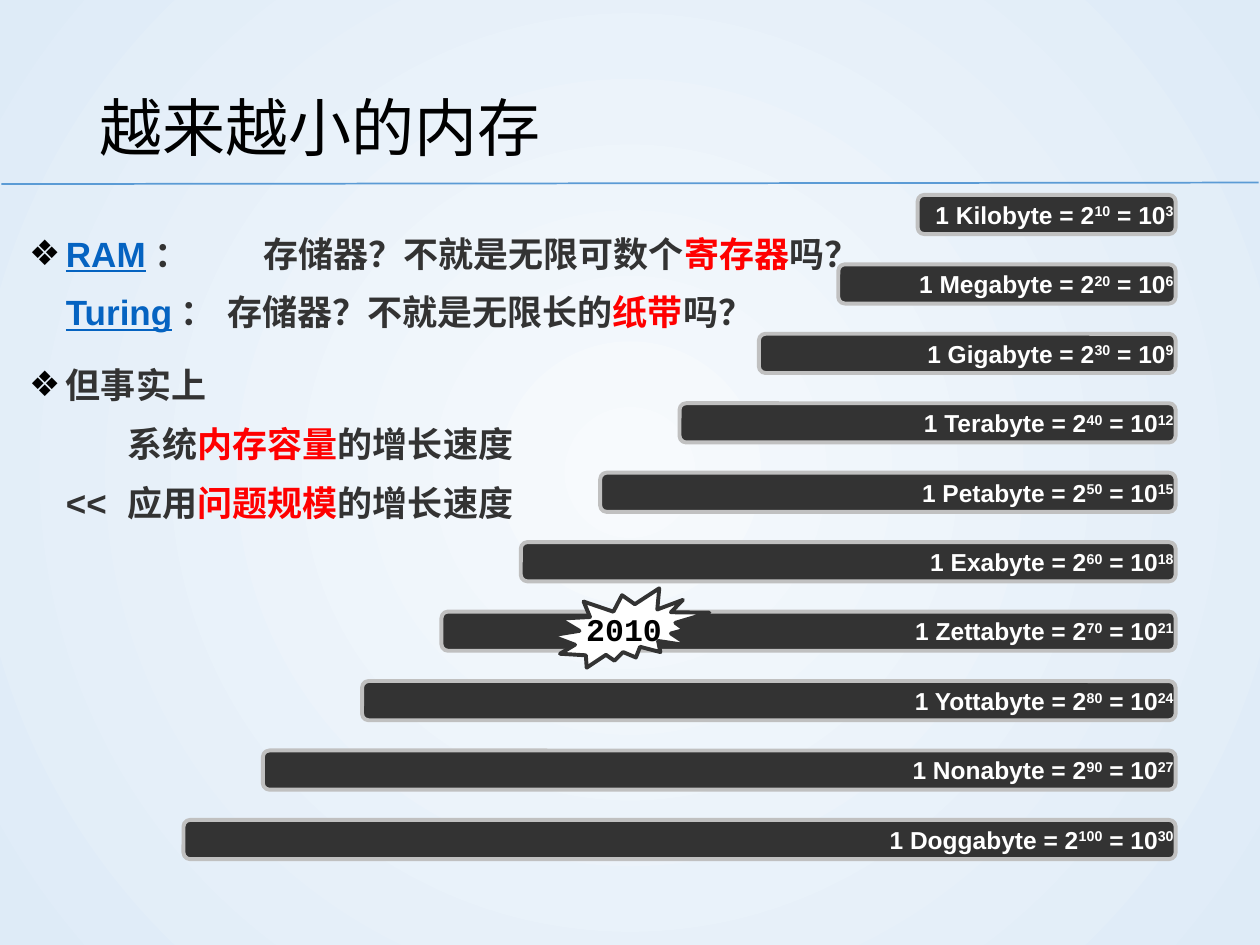
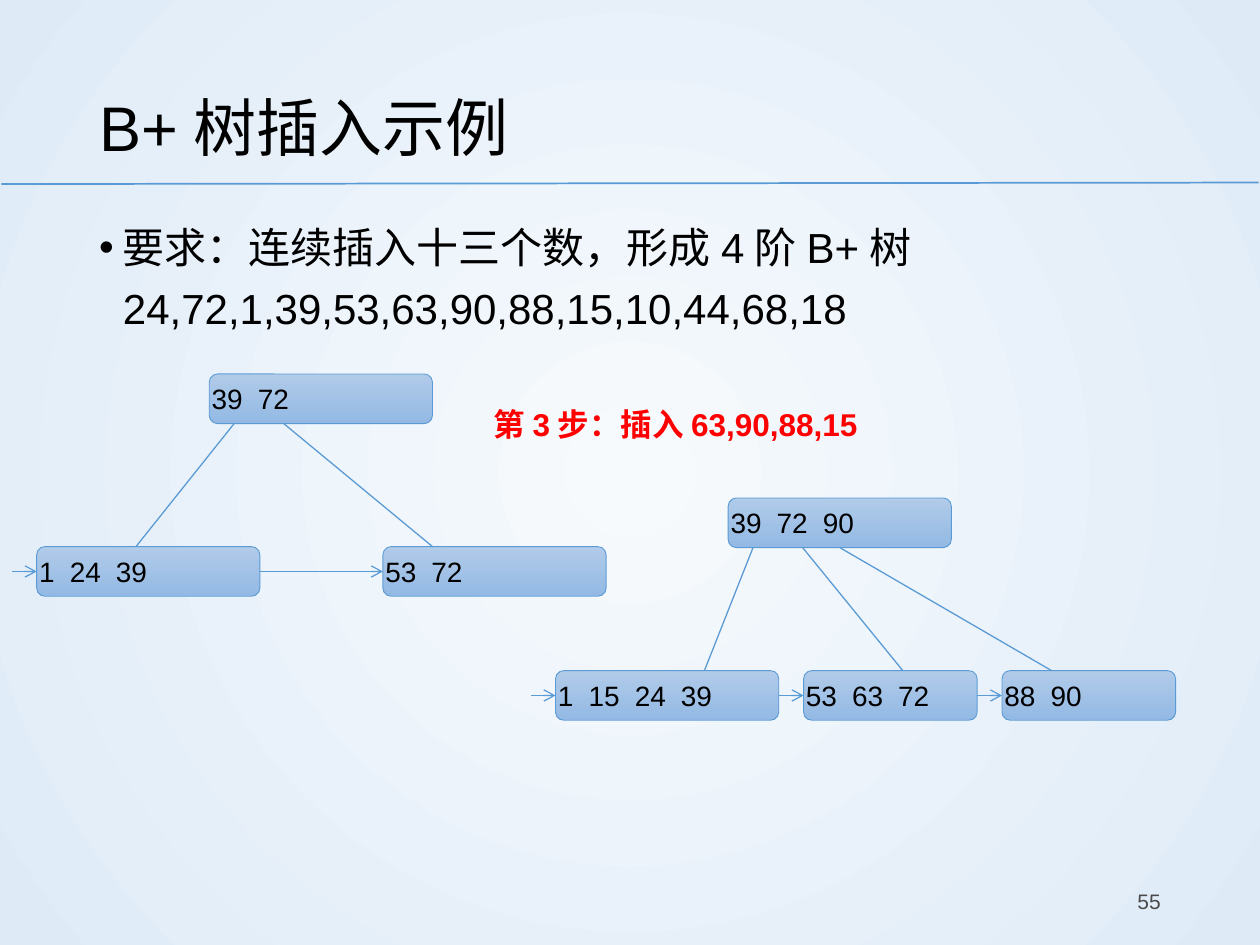
"""Builds two slides: shrinking memory, and inserting into a B+ tree."""
from lxml import etree
from pptx import Presentation, util as u
from pptx.dml.color import RGBColor
from pptx.enum import shapes, text
from pptx.oxml import ns

RED, DARK, LINK, BLUE = "FF0000", "333333", "0563C1", "5B9BD5"
ALIGN = {"l": text.PP_ALIGN.LEFT, "c": text.PP_ALIGN.CENTER, "r": text.PP_ALIGN.RIGHT}
KIND = shapes.MSO_SHAPE
hot, link = {"color": RED}, {"color": LINK, "under": True}

CLAIMS = [
    [("RAM", link), "：\t\t存储器？不就是无限可数个", ("寄存器", hot), "吗？\n",
     ("Turing", link), "：\t存储器？不就是无限长的", ("纸带", hot), "吗？"],
    ["但事实上\n\t系统", ("内存容量", hot), "的增长速度\n<<\t应用",
     ("问题规模", hot), "的增长速度"],
]
TABS = [0.74, 1.98, 2.97, 3.99, 4.72, 5.49, 6.22, 6.96]
UNITS = ["Kilo", "Mega", "Giga", "Tera", "Peta", "Exa", "Zetta", "Yotta", "Nona", "Dogga"]
TASK = "要求：连续插入十三个数，形成4阶B+树24,72,1,39,53,63,90,88,15,10,44,68,18"
TREES = [
    {"root": (4.22, 7.54, ["39", "72"]), "left": 0.74, "gap": 2.48,
     "leaves": [(["1", "24", "39"], 4.5, 2), (["53", "72"], 4.5, 1)]},
    {"root": (14.68, 10.04, ["39", "72", "90"]), "left": 11.2, "gap": 0.5,
     "leaves": [(["1", "15", "24", "39"], 4.5, 3), (["53", "63", "72"], 3.5, 2),
                (["88", "90"], 3.5, 1)]},
]
PORTS = [0.5, 1.5, 2.25]
DROP, TALL = 3.48, 1.0


def rgb(code):
    return RGBColor.from_string(code)


def sub(node, tag, **attrs):
    return etree.SubElement(node, ns.qn(tag), attrs)


def mark(para, bullet, hang, tabs):
    props = para._p.get_or_add_pPr()
    if bullet:
        props.set("marL", str(u.Cm(hang)))
        props.set("indent", str(-u.Cm(hang)))
        sub(sub(props, "a:buClr"), "a:srgbClr", val="000000")
        sub(props, "a:buFont", typeface="Arial")
        sub(props, "a:buChar", char=bullet)
    if tabs:
        stops = sub(props, "a:tabLst")
        for pos in tabs:
            sub(stops, "a:tab", pos=str(u.Cm(pos)), algn="l")


def style(run, size, color, bold, font, under=None, base=0):
    face = run.font
    face.name, face.size, face.bold, face.underline = font, u.Pt(size), bold, under
    face.color.rgb = rgb(color)
    if base:
        run._r.get_or_add_rPr().set("baseline", str(base * 1000))


def write(shape, paras, size=18, color="000000", bold=False, font="Arial", align="l",
          mid=False, inset=(0.25, 0.13, 0.25, 0.13), space=None, before=0, after=0,
          bullet=None, hang=0, tabs=(), wrap=True):
    frame = shape.text_frame
    frame.word_wrap = wrap
    frame.vertical_anchor = text.MSO_ANCHOR.MIDDLE if mid else text.MSO_ANCHOR.TOP
    (frame.margin_left, frame.margin_top,
     frame.margin_right, frame.margin_bottom) = map(u.Cm, inset)
    for i, parts in enumerate(paras):
        para = frame.add_paragraph() if i else frame.paragraphs[0]
        para.alignment = ALIGN[align]
        if space:
            para.line_spacing = space
        if before and i:
            para.space_before = u.Pt(before)
        if after:
            para.space_after = u.Pt(after)
        mark(para, bullet, hang, tabs)
        for part in parts:
            words, extra = (part, {}) if isinstance(part, str) else part
            look = {"size": size, "color": color, "bold": bold, "font": font, **extra}
            for j, piece in enumerate(words.split("\n")):
                if j:
                    para.add_line_break()
                if piece:
                    run = para.add_run()
                    run.text = piece
                    style(run, **look)


def label(slide, box, paras, **look):
    write(slide.shapes.add_textbox(*map(u.Cm, box)), paras, **look)


def block(slide, kind, box, fill, edge, width):
    shape = slide.shapes.add_shape(kind, *map(u.Cm, box))
    shape.shadow.inherit = False
    if isinstance(fill, str):
        shape.fill.solid()
        shape.fill.fore_color.rgb = rgb(fill)
    else:
        blend(shape.fill, fill)
        shape.fill.gradient_angle = 270
    shape.line.color.rgb = rgb(edge)
    shape.line.width = u.Pt(width)
    return shape


def blend(fill, codes):
    fill.gradient()
    for stop, code in zip(fill.gradient_stops, codes):
        stop.color.rgb = rgb(code)


def wire(slide, x1, y1, x2, y2, width=0.75, arrow=False):
    line = slide.shapes.add_connector(
        shapes.MSO_CONNECTOR.STRAIGHT, *map(u.Cm, (x1, y1, x2, y2)))
    line.line.color.rgb = rgb(BLUE)
    line.line.width = u.Pt(width)
    if arrow:
        sub(line.line._get_or_add_ln(), "a:tailEnd", type="arrow")
    sub(line._element.spPr, "a:effectLst")


def page(deck, title):
    slide = deck.slides.add_slide(deck.slide_layouts[6])
    blend(slide.background.fill, ["F7FAFD", "DEEBF7"])
    grad = slide.element.find(".//" + ns.qn("a:gradFill"))
    grad.remove(grad.find(ns.qn("a:lin")))
    half = dict.fromkeys("ltrb", "50000")
    sub(sub(grad, "a:path", path="circle"), "a:fillToRect", **half)
    wire(slide, 0.03, 3.71, 25.37, 3.68, width=1)
    label(slide, (1.75, 1.02, 21.9, 2.74), [[title]], size=36, space=1.2, mid=True)
    return slide


def memory(deck):
    slide = page(deck, "越来越小的内存")
    label(slide, (0.18, 4.14, 21.9, 13.03), CLAIMS, size=20, color=DARK, bold=True,
          inset=(0.41, 0.2, 0, 0.2), space=1.4, before=6, after=2,
          bullet="❖", hang=0.74, tabs=TABS)
    high = {"base": 30}
    for i, unit in enumerate(UNITS):
        left = 18.5 - 1.6 * i - (0.4 if i > 7 else 0)
        bar = block(slide, KIND.ROUNDED_RECTANGLE, (left, 3.93 + 1.4 * i, 23.7 - left, 0.79),
                    DARK, "C0C0C0", 2.25)
        power = [f"1 {unit}byte = 2", (str(10 * i + 10), high), " = 10", (str(3 * i + 3), high)]
        write(bar, [power], size=14, color="FFFFFF", bold=True, align="r", mid=True,
              inset=(0, 0, 0, 0))
    burst = block(slide, KIND.EXPLOSION2, (11.1, 11.86, 3.2, 1.6), "FFFFFF", DARK, 2.25)
    write(burst, [["2010"]], bold=True, font="Courier New", align="c", mid=True,
          inset=(0, 0, 0, 0), wrap=False)


def node(slide, left, top, width, keys):
    shape = block(slide, KIND.ROUNDED_RECTANGLE, (left, top, width, TALL),
                  ["B1CBE9", "93B9E4"], BLUE, 0.5)
    tabs, pos = [], 0
    for key in keys[:-1]:
        pos += 0.31 * (len(key) + 1)
        tabs.append(pos)
    write(shape, [["\t".join(keys)]], size=16, mid=True, inset=(0, 0, 0.5, 0), tabs=tabs)


def tree(slide, root, left, gap, leaves):
    x, y, keys = root
    node(slide, x, y, 4.5, keys)
    top, step = y + DROP, 0.5
    for port, (keys, width, end) in zip(PORTS, leaves):
        node(slide, left, top, width, keys)
        wire(slide, left - step, top + TALL / 2, left, top + TALL / 2, arrow=True)
        wire(slide, x + port, y + TALL, left + end, top)
        left, step = left + width + gap, gap


def insert(deck):
    slide = page(deck, "B+树插入示例")
    label(slide, (1.75, 4.14, 21.9, 13.03), [[TASK]], size=24, space=1.2,
          bullet="•", hang=0.48)
    label(slide, (17.93, 17.65, 5.72, 1.02), [["55"]], size=12, color="4B4B4B",
          align="r", mid=True)
    label(slide, (9.7, 8.03, 9.47, 1.02), [["第3步：插入63,90,88,15"]], color=RED, bold=True)
    for plan in TREES:
        tree(slide, **plan)


def main():
    deck = Presentation()
    deck.slide_width, deck.slide_height = u.Cm(25.4), u.Cm(19.05)
    memory(deck)
    insert(deck)
    deck.save("out.pptx")


if __name__ == "__main__":
    main()
